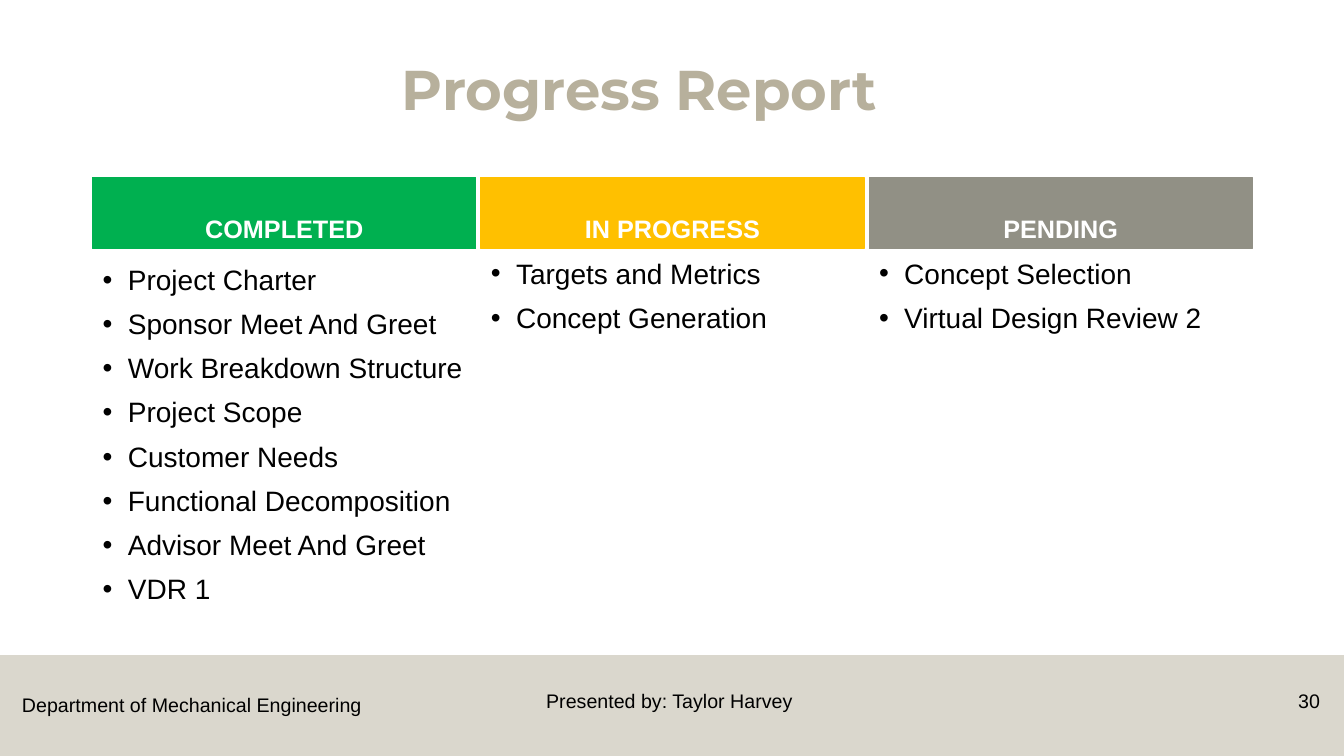
import pptx
import pptx.util
import pptx.dml.color
import pptx.enum.shapes
import pptx.enum.text
import pptx.oxml.ns
import lxml.etree

Inches = pptx.util.Inches
Pt = pptx.util.Pt
ALIGN = pptx.enum.text.PP_ALIGN
ANCHOR = pptx.enum.text.MSO_ANCHOR
qn = pptx.oxml.ns.qn

COLORS = {
    "sand": "B7B09C",
    "green": "00B050",
    "amber": "FFC000",
    "gray": "919085",
    "white": "FFFFFF",
    "black": "000000",
}

COLUMNS = [
    ("COMPLETED", "green", 0.06, [
        "Project Charter", "Sponsor Meet And Greet", "Work Breakdown Structure",
        "Project Scope", "Customer Needs", "Functional Decomposition",
        "Advisor Meet And Greet", "VDR 1"]),
    ("IN PROGRESS", "amber", 0, ["Targets and Metrics", "Concept Generation"]),
    ("PENDING", "gray", 0, ["Concept Selection", "Virtual Design Review 2"]),
]


def rgb(name):
    return pptx.dml.color.RGBColor.from_string(COLORS[name])


def style(p, size, color="black", font="Arial", bold=False):
    for r in p.runs:
        r.font.name = font
        r.font.size = Pt(size)
        r.font.bold = bold
        r.font.color.rgb = rgb(color)


def add_rect(s, x, y, w, h, color):
    sp = s.shapes.add_shape(pptx.enum.shapes.MSO_SHAPE.RECTANGLE,
                            Inches(x), Inches(y), Inches(w), Inches(h))
    sp.shadow.inherit = False
    sp.fill.solid()
    sp.fill.fore_color.rgb = rgb(color)
    return sp


def add_text(s, x, y, w, h, text, align=ALIGN.LEFT, size=14, **look):
    tf = s.shapes.add_textbox(Inches(x), Inches(y), Inches(w), Inches(h)).text_frame
    tf.word_wrap = True
    tf.text = text
    for p in tf.paragraphs:
        p.alignment = align
        style(p, size, **look)
    return tf


def add_title(s, x, y, w, h):
    tf = add_text(s, x, y, w, h, "Progress Report", ALIGN.CENTER, 40,
                  color="sand", font="Montserrat", bold=True)
    tf.vertical_anchor = ANCHOR.MIDDLE
    tf.paragraphs[0].line_spacing = 0.9


def add_list(s, x, y, w, h, items):
    tf = add_text(s, x, y, w, h, "\n".join(items), size=20)
    for i, p in enumerate(tf.paragraphs):
        pPr = p._p.get_or_add_pPr()
        pPr.set("marL", str(Inches(0.25)))
        pPr.set("indent", str(-Inches(0.25)))
        lxml.etree.SubElement(pPr, qn("a:buFont")).set("typeface", "Arial")
        lxml.etree.SubElement(pPr, qn("a:buChar")).set("char", "•")
        p.line_spacing = 0.9
        if i:
            p.space_before = Pt(10)


def add_column(s, x, y, w, h, heading, color, drop, items):
    head_h = 0.71
    sp = add_rect(s, x, y, w, head_h, color)
    sp.line.color.rgb = rgb(color)
    sp.line.width = Pt(0.75)
    tf = sp.text_frame
    tf.vertical_anchor = ANCHOR.BOTTOM
    tf.text = heading
    tf.paragraphs[0].alignment = ALIGN.CENTER
    style(tf.paragraphs[0], 18, "white", bold=True)
    list_y = y + head_h + 0.06 + drop
    add_list(s, x, list_y, w, h - head_h - 0.06, items)


def add_footer(s, x, y, w, h):
    band = add_rect(s, x, y, w, h, "sand")
    band.line.fill.background()
    clr = band._element.spPr.find(qn("a:solidFill"))[0]
    lxml.etree.SubElement(clr, qn("a:alpha")).set("val", "50000")
    add_text(s, x + 0.12, y + 0.33, 3.8, 0.34, "Department of Mechanical Engineering")
    add_text(s, x + 4.39, y + 0.29, 4.5, 0.4, "Presented by: Taylor Harvey", ALIGN.CENTER)
    add_text(s, x + w - 0.91, y + 0.29, 0.77, 0.4, "30", ALIGN.RIGHT)


def main():
    prs = pptx.Presentation()
    prs.slide_width = Inches(13.33)
    prs.slide_height = Inches(7.5)
    s = prs.slides.add_slide(prs.slide_layouts[6])
    add_footer(s, 0, 6.5, 13.33, 1)
    add_title(s, 0.59, 0.19, 11.5, 1.45)
    for i, column in enumerate(COLUMNS):
        add_column(s, 0.92 + i * 3.85, 1.76, 3.8, 4.7, *column)
    prs.save("out.pptx")


if __name__ == "__main__":
    main()
